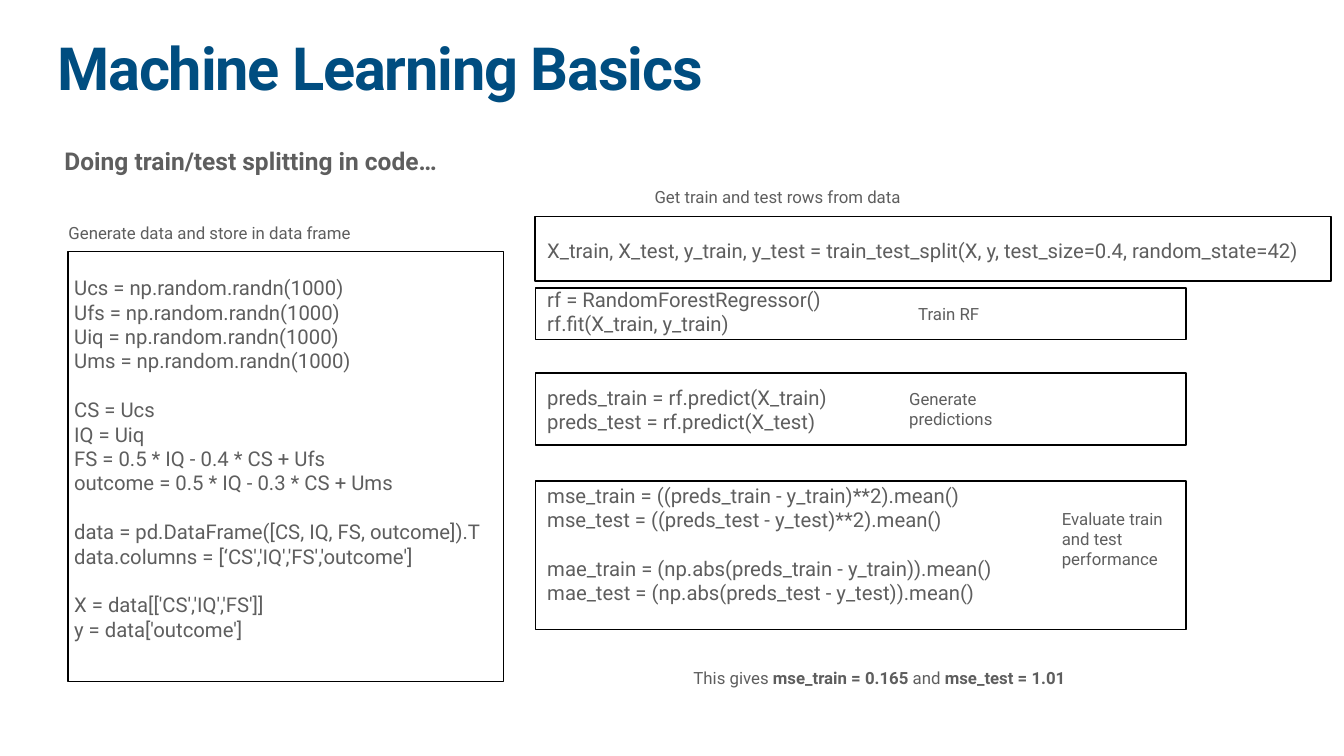
from pptx import Presentation
from pptx.dml.color import RGBColor
from pptx.enum.shapes import MSO_SHAPE
from pptx.enum.text import MSO_ANCHOR, MSO_AUTO_SIZE, PP_ALIGN
from pptx.util import Inches, Pt

WIDTH, HEIGHT = Inches(26.67), Inches(15)
NAVY, GRAY, BLACK = "004D80", "5E5E5E", "000000"
CODE_SIZE, LABEL_SIZE, BLANK_LINE = 29, 24, 35

DATA_CODE = [
    (0, ["Ucs = np.random.randn(1000)", "Ufs = np.random.randn(1000)",
         "Uiq = np.random.randn(1000)", "Ums = np.random.randn(1000)"]),
    (1, ["CS = Ucs", "IQ = Uiq", "FS = 0.5 * IQ - 0.4 * CS + Ufs",
         "outcome = 0.5 * IQ - 0.3 * CS + Ums"]),
    (1, ["data = pd.DataFrame([CS, IQ, FS, outcome]).T",
         "data.columns = [‘CS','IQ','FS','outcome']"]),
    (1, ["X = data[['CS','IQ','FS']]", "y = data['outcome']"]),
]
MODEL_CODE = [
    (0, ["X_train, X_test, y_train, y_test = "
         "train_test_split(X, y, test_size=0.4, random_state=42)"]),
    (1, ["rf = RandomForestRegressor()", "rf.fit(X_train, y_train)"]),
    (2, ["preds_train = rf.predict(X_train)", "preds_test = rf.predict(X_test)"]),
    (2, ["mse_train = ((preds_train - y_train)**2).mean()",
         "mse_test = ((preds_test - y_test)**2).mean()"]),
    (1, ["mae_train = (np.abs(preds_train - y_train)).mean()",
         "mae_test = (np.abs(preds_test - y_test)).mean()"]),
]
FRAMES = [
    (5.06, 33.27, 32.4, 56.87),
    (39.82, 28.67, 59.2, 8.53),
    (39.86, 38.07, 48.37, 6.87),
    (39.86, 49.33, 48.37, 9.53),
    (39.86, 63.6, 48.37, 19.67),
]
LABELS = [
    ("Generate data and store in data frame", (4.87, 29.07, 32.51, 3.33)),
    ("Get train and test rows from data", (48.48, 24.4, 41.54, 3.33)),
    ("Train RF", (68.09, 39.8, 6.19, 3.33)),
    ("Generate predictions", (67.42, 51.07, 7.54, 6.07)),
    ("Evaluate train and test performance", (78.78, 66.93, 8.66, 8.73)),
]
RESULT = [("This gives ", False), ("mse_train = 0.165", True),
          (" and ", False), ("mse_test = 1.01", True)]


def color(value):
    """Turn a hex string into a colour."""
    return RGBColor.from_string(value)


def place(area):
    """Turn left, top, width and height in percent of the slide into lengths."""
    return [round(share * side / 100)
            for share, side in zip(area, (WIDTH, HEIGHT, WIDTH, HEIGHT))]


def apply(target, values):
    """Set each named attribute of the target."""
    for name, value in values.items():
        setattr(target, name, value)


def format_frame(box, anchor):
    """Give a text holder its margins, wrapping and anchor; return its frame."""
    frame = box.text_frame
    margins = {f"margin_{side}": Inches(0.06)
               for side in ("left", "top", "right", "bottom")}
    apply(frame, {**margins, "word_wrap": True, "vertical_anchor": anchor,
                  "auto_size": MSO_AUTO_SIZE.NONE})
    return frame


def add_span(para, text, size, bold=False, ink=GRAY):
    """Add formatted text to a paragraph."""
    span = para.add_run()
    span.text = text
    apply(span.font, {"name": "Roboto", "size": Pt(size), "bold": bold})
    span.font.color.rgb = color(ink)
    return span


def add_title(slide, text, area):
    """Fill and format the title placeholder."""
    title = slide.shapes.title
    apply(title, dict(zip(("left", "top", "width", "height"), place(area))))
    para = format_frame(title, MSO_ANCHOR.TOP).paragraphs[0]
    apply(para, {"alignment": PP_ALIGN.LEFT, "line_spacing": 0.8})
    span = add_span(para, text, 85, True, NAVY)
    span.font._element.set("spc", "-170")


def add_text(slide, spans, area, size=LABEL_SIZE):
    """Add a text box holding one paragraph of spans."""
    box = slide.shapes.add_textbox(*place(area))
    para = format_frame(box, MSO_ANCHOR.MIDDLE).paragraphs[0]
    for text, bold in spans:
        add_span(para, text, size, bold)


def add_code(slide, groups, area):
    """Add code whose groups follow a gap of some blank lines."""
    box = slide.shapes.add_textbox(*place(area))
    frame = format_frame(box, MSO_ANCHOR.MIDDLE)
    para = frame.paragraphs[0]
    for gap, lines in groups:
        for index, line in enumerate(lines):
            if gap or index:
                para = frame.add_paragraph()
            if gap and index == 0:
                para.space_before = Pt(gap * BLANK_LINE)
            add_span(para, line, CODE_SIZE)


def add_frame(slide, area):
    """Add an unfilled black outline."""
    frame = slide.shapes.add_shape(MSO_SHAPE.RECTANGLE, *place(area))
    frame.shadow.inherit = False
    frame.fill.background()
    frame.line.color.rgb = color(BLACK)
    frame.line.width = Pt(2)


def main():
    """Build and save the slide."""
    deck = Presentation()
    apply(deck, {"slide_width": WIDTH, "slide_height": HEIGHT})
    slide = deck.slides.add_slide(deck.slide_layouts.get_by_name("Title Only"))
    add_title(slide, "Machine Learning Basics", (4.05, 5.53, 90.1, 10.47))
    add_text(slide, [("Doing train/test splitting in code…", True)],
             (4.57, 19, 84.89, 4.6), 35)
    add_code(slide, MODEL_CODE, (40.49, 31.13, 57.52, 49.27))
    add_code(slide, DATA_CODE, (5.29, 36, 31.65, 49.27))
    for area in FRAMES:
        add_frame(slide, area)
    for text, area in LABELS:
        add_text(slide, [(text, False)], area)
    add_text(slide, RESULT, (51.37, 87.93, 41.99, 3.4))
    deck.save("out.pptx")


if __name__ == "__main__":
    main()
